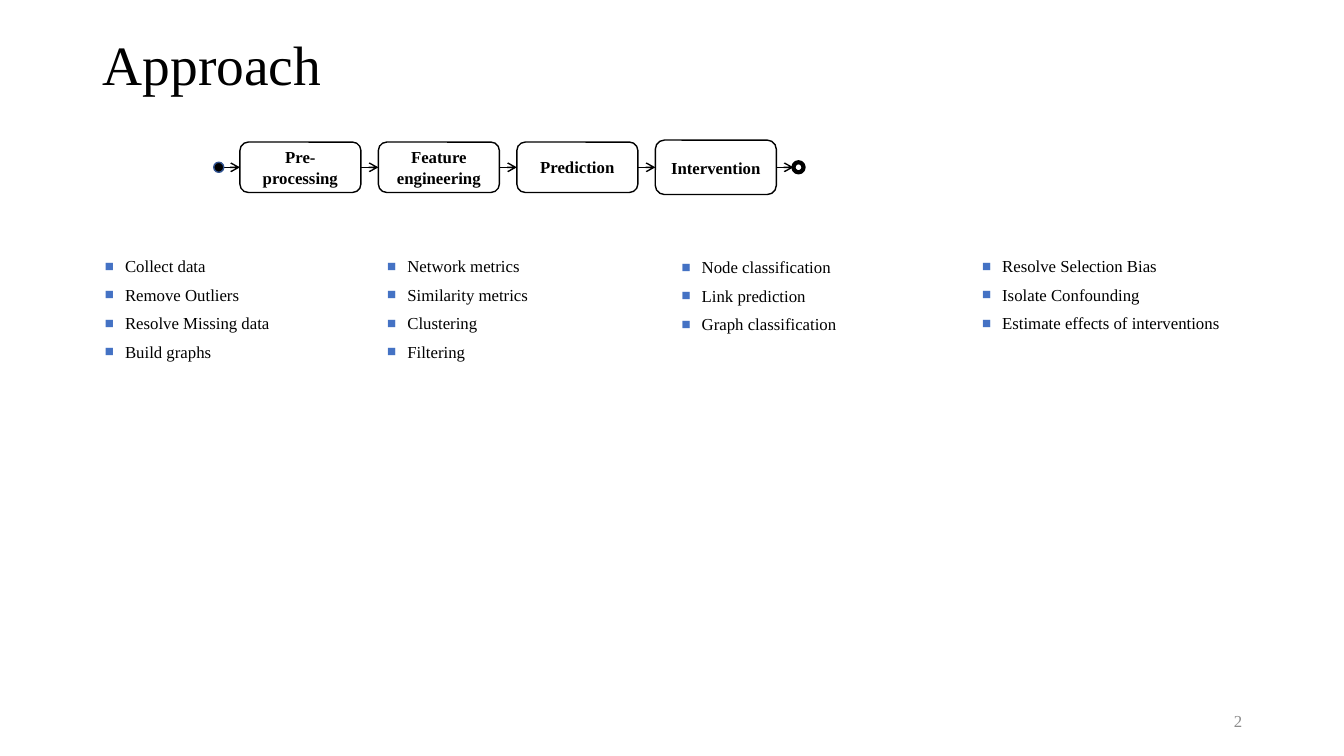
from lxml.etree import SubElement
from pptx import Presentation
from pptx.dml.color import RGBColor
from pptx.enum.shapes import MSO_CONNECTOR, MSO_SHAPE
from pptx.enum.text import MSO_ANCHOR, PP_ALIGN
from pptx.oxml.ns import qn
from pptx.util import Inches, Pt

# Content
TITLE = "Approach"
PAGE_NUMBER = "2"
STEPS = [  # label, box height
    ("Pre-processing", 0.5),
    ("Feature engineering", 0.5),
    ("Prediction", 0.5),
    ("Intervention", 0.54),
]
TASK_LISTS = [  # left, top, width, height, tasks
    (1.04, 2.54, 1.95, 1.21,
     ["Collect data", "Remove Outliers", "Resolve Missing data", "Build graphs"]),
    (3.84, 2.54, 1.95, 1.16,
     ["Network metrics", "Similarity metrics", "Clustering", "Filtering"]),
    (6.76, 2.55, 1.95, 0.89,
     ["Node classification", "Link prediction", "Graph classification"]),
    (9.74, 2.54, 3.13, 0.89,
     ["Resolve Selection Bias", "Isolate Confounding",
      "Estimate effects of interventions"]),
]

# Style
FONT = "Times New Roman"
BLACK = RGBColor(0x00, 0x00, 0x00)
WHITE = RGBColor(0xFF, 0xFF, 0xFF)
GREY = RGBColor(0x8C, 0x8C, 0x8C)
BLUE = RGBColor(0x44, 0x72, 0xC4)
DARK_BLUE = RGBColor(0x32, 0x54, 0x91)

# Layout of the flow, in inches
FLOW_Y = 1.66
FIRST_LEFT, LAST_LEFT = 2.38, 6.5
STEP_WIDTH = 1.2
PITCH = (LAST_LEFT - FIRST_LEFT) / (len(STEPS) - 1)
DOT = 0.1
START_LEFT, END_LEFT = 2.12, 7.87

prs = Presentation()
prs.slide_width, prs.slide_height = Inches(13.33), Inches(7.5)
slide = prs.slides.add_slide(prs.slide_layouts[6])


def set_insets(frame, across, down):
    frame.margin_left = frame.margin_right = Inches(across)
    frame.margin_top = frame.margin_bottom = Inches(down)


def write(paragraph, text, size=12, color=BLACK, bold=False):
    run = paragraph.add_run()
    run.text = text
    run.font.name, run.font.size, run.font.bold = FONT, Pt(size), bold
    run.font.color.rgb = color


def add_text_frame(left, top, width, height, anchor):
    frame = slide.shapes.add_textbox(
        Inches(left), Inches(top), Inches(width), Inches(height)).text_frame
    frame.word_wrap = True
    frame.vertical_anchor = anchor
    return frame


def add_outlined(preset, left, width, height, fill, line, weight):
    """Shape centred vertically on the flow line."""
    shape = slide.shapes.add_shape(
        preset, Inches(left), Inches(FLOW_Y - height / 2),
        Inches(width), Inches(height))
    shape.shadow.inherit = False
    shape.fill.solid()
    shape.fill.fore_color.rgb = fill
    shape.line.color.rgb = line
    shape.line.width = Pt(weight)
    return shape


def add_arrow(start, end, source=None, target=None):
    arrow = slide.shapes.add_connector(
        MSO_CONNECTOR.STRAIGHT, Inches(start), Inches(FLOW_Y),
        Inches(end), Inches(FLOW_Y))
    if source is not None:
        arrow.begin_connect(source, 3)
    if target is not None:
        arrow.end_connect(target, 1)
    arrow.line.color.rgb = BLACK
    arrow.line.width = Pt(1)
    SubElement(arrow.line._get_or_add_ln(), qn("a:tailEnd"), type="arrow")
    SubElement(arrow._element.spPr, qn("a:effectLst"))


def add_bullet(paragraph):
    props = paragraph._p.get_or_add_pPr()
    props.set("marL", str(Inches(0.2)))
    props.set("indent", str(-Inches(0.2)))
    color = SubElement(props, qn("a:buClr"))
    SubElement(color, qn("a:srgbClr"), val=str(BLUE))
    SubElement(props, qn("a:buSzPct"), val="90000")
    SubElement(props, qn("a:buFont"), typeface=FONT)
    SubElement(props, qn("a:buChar"), char="■")


# Title and page number
heading = add_text_frame(0.92, 0.4, 11.5, 0.54, MSO_ANCHOR.MIDDLE).paragraphs[0]
heading.line_spacing = 0.9
write(heading, TITLE, 39.6)
page = add_text_frame(9.42, 6.95, 3, 0.4, MSO_ANCHOR.MIDDLE).paragraphs[0]
page.alignment = PP_ALIGN.RIGHT
write(page, PAGE_NUMBER, color=GREY)

# Process steps
step_boxes = []
for index, (label, height) in enumerate(STEPS):
    box = add_outlined(MSO_SHAPE.ROUNDED_RECTANGLE, FIRST_LEFT + index * PITCH,
                       STEP_WIDTH, height, WHITE, BLACK, 1)
    box.text_frame.word_wrap = True
    box.text_frame.vertical_anchor = MSO_ANCHOR.MIDDLE
    set_insets(box.text_frame, 0.12, 0.08)
    caption = box.text_frame.paragraphs[0]
    caption.alignment = PP_ALIGN.CENTER
    caption.space_before = caption.space_after = Pt(3)
    write(caption, label, bold=True)
    step_boxes.append(box)

# Arrows, with the start and end dots
for index, (source, target) in enumerate(zip(step_boxes, step_boxes[1:])):
    next_left = FIRST_LEFT + (index + 1) * PITCH
    add_arrow(next_left - PITCH + STEP_WIDTH, next_left, source, target)
add_arrow(START_LEFT + DOT, FIRST_LEFT, target=step_boxes[0])
add_outlined(MSO_SHAPE.OVAL, START_LEFT, DOT, DOT, BLACK, DARK_BLUE, 1)
add_arrow(LAST_LEFT + STEP_WIDTH, END_LEFT, source=step_boxes[-1])
add_outlined(MSO_SHAPE.OVAL, END_LEFT, DOT, DOT, WHITE, BLACK, 3)

# Task lists
for left, top, width, height, tasks in TASK_LISTS:
    frame = add_text_frame(left, top, width, height, MSO_ANCHOR.TOP)
    set_insets(frame, 0, 0)
    for index, task in enumerate(tasks):
        item = frame.add_paragraph() if index else frame.paragraphs[0]
        item.space_before = item.space_after = Pt(3)
        add_bullet(item)
        write(item, task)

prs.save("out.pptx")
